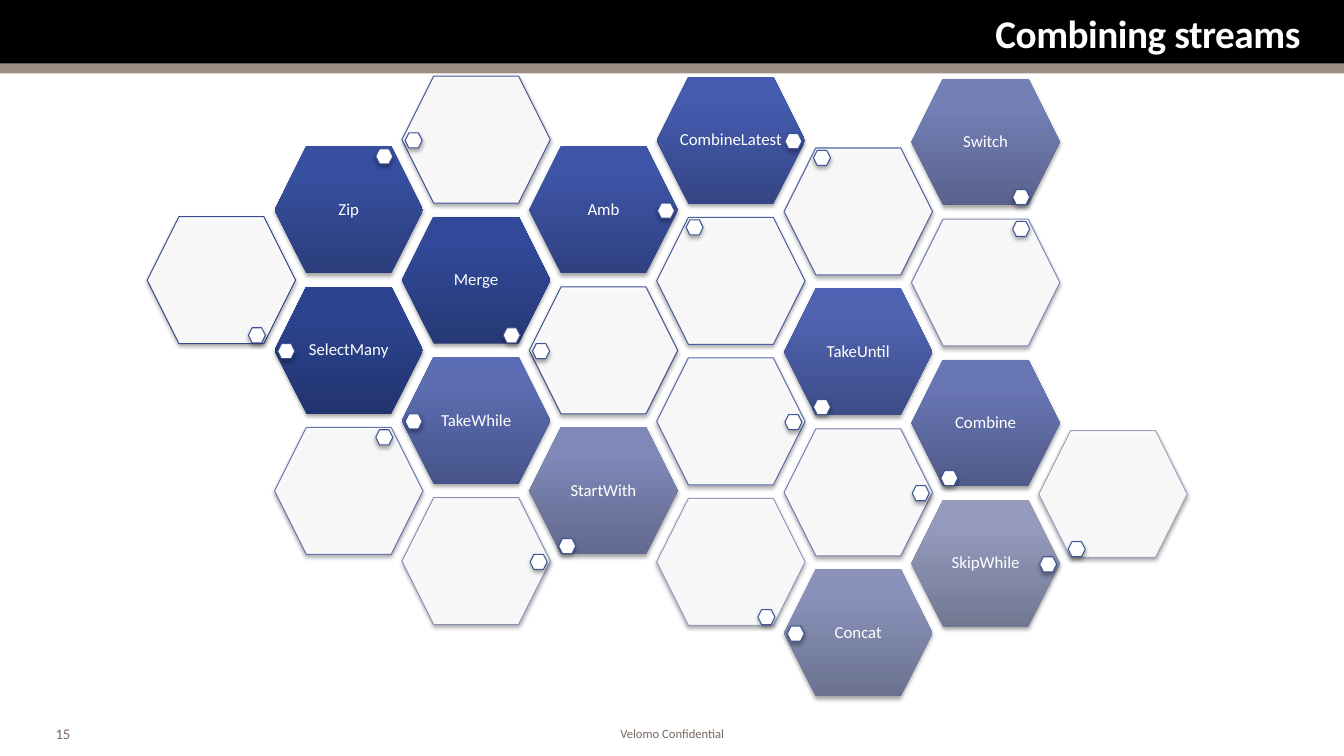
from dataclasses import dataclass

from lxml.etree import SubElement
from pptx import Presentation
from pptx.dml.color import RGBColor
from pptx.enum.shapes import MSO_SHAPE as Preset
from pptx.enum.text import MSO_ANCHOR as Anchor, PP_ALIGN as Align
from pptx.oxml.ns import qn
from pptx.util import Cm, Pt


@dataclass(frozen=True)
class Theme:
    font: str = "Calibri"
    black: str = "000000"
    white: str = "FFFFFF"
    taupe: str = "9E8D83"
    footer: str = "7A695F"
    dot_line: str = "3F5497"
    title_size: float = 28
    label_size: float = 12
    number_size: float = 10.5
    footer_size: float = 9
    line_width: float = 0.75


SLIDE_WIDTH, SLIDE_HEIGHT = 33.87, 19.05
GRID_LEFT, GRID_TOP = 3.71, 1.92
COLUMN_STEP, HALF_ROW_STEP = 3.21, 1.77
COLUMN_DRIFT = 0.02  # the right-hand columns sit slightly lower
HEXAGON_SIZE = (3.74, 3.2)
DOT_SIZE = (0.43, 0.38)
DOT_OFFSETS = {
    "left": (0.08, 1.43),
    "right": (3.23, 1.43),
    "top left": (0.74, 0.06),
    "top right": (2.55, 0.06),
    "bottom left": (0.74, 2.8),
    "bottom right": (2.55, 2.8),
}

# column, half row, operator, dot place, gradient from bottom to top
OPERATORS = [
    (1, 3, "SelectMany", "left", ("22346F", "2C4490", "2A4393")),
    (2, 2, "Merge", "bottom right", ("263875", "314998", "30499B")),
    (1, 1, "Zip", "top right", ("2B3D7B", "374FA0", "364EA3")),
    (3, 1, "Amb", "right", ("304181", "3E55A7", "3C54AA")),
    (4, 0, "CombineLatest", "right", ("354686", "445BAE", "435AB1")),
    (5, 3, "TakeUntil", "bottom left", ("3D4D88", "4F63B1", "4E63B4")),
    (2, 4, "TakeWhile", "left", ("465489", "5C6DB2", "5A6CB5")),
    (6, 4, "Combine", "bottom left", ("505B8A", "6876B4", "6776B6")),
    (6, 0, "Switch", "bottom right", ("59628C", "7380B6", "737FB8")),
    (3, 5, "StartWith", "bottom left", ("62698E", "7F89B8", "7E89BA")),
    (5, 7, "Concat", "left", ("6A7190", "8A92BA", "8992BC")),
    (6, 6, "SkipWhile", "right", ("727892", "949BBD", "949BBF")),
]

# column, half row, dot place, outline
EMPTY_CELLS = [
    (0, 2, "bottom right", "394C89"),
    (3, 3, "left", "3F5291"),
    (2, 0, "left", "465899"),
    (4, 2, "top left", "4C5FA0"),
    (5, 1, "top left", "5365A7"),
    (4, 4, "right", "5D6DAB"),
    (1, 5, "top right", "6977AE"),
    (5, 5, "right", "7480B0"),
    (6, 2, "top right", "7F89B4"),
    (2, 6, "right", "8992B7"),
    (4, 6, "bottom right", "949BBB"),
    (7, 5, "bottom left", "9EA3BF"),
]


class SlideBuilder:
    def __init__(self, slide, theme):
        self.slide = slide
        self.theme = theme

    def set_text(self, shape, text, size, color, align, bold=False):
        frame = shape.text_frame
        frame.text = text
        paragraph = frame.paragraphs[0]
        paragraph.alignment = align
        run = paragraph.runs[0]
        run.font.name = self.theme.font
        run.font.size = Pt(size)
        run.font.bold = bold
        run.font.color.rgb = RGBColor.from_string(color)
        return run

    def band(self, top, height, color):
        shape = self.slide.shapes.add_shape(
            Preset.RECTANGLE, 0, Cm(top), Cm(SLIDE_WIDTH), Cm(height))
        shape.shadow.inherit = False
        shape.fill.solid()
        shape.fill.fore_color.rgb = RGBColor.from_string(color)
        shape.line.fill.background()

    def title(self, text):
        title = self.slide.shapes.title
        title.left, title.top, title.width, title.height = map(Cm, (1.04, 0.18, 31.83, 1.27))
        frame = title.text_frame
        frame.vertical_anchor = Anchor.MIDDLE
        frame.margin_left = frame.margin_right = Cm(0.1)
        frame.margin_top = frame.margin_bottom = Cm(0.1)
        run = self.set_text(title, text, self.theme.title_size, self.theme.white,
                            Align.RIGHT, True)
        run.font._element.set("spc", "-30")
        title._element.getparent().append(title._element)  # in front of the bands

    def footer_text(self, text, box, size, align):
        shape = self.slide.shapes.add_textbox(*map(Cm, box))
        frame = shape.text_frame
        frame.word_wrap = True
        frame.margin_left = frame.margin_right = Cm(0.23)
        frame.margin_top = frame.margin_bottom = Cm(0.1)
        self.set_text(shape, text, size, self.theme.footer, align)

    def cast_shadow(self, shape):
        shape.shadow.inherit = False
        effects = shape._element.spPr.find(qn("a:effectLst"))
        shadow = SubElement(effects, qn("a:outerShdw"), blurRad=str(Pt(3.1)),
                            dist=str(Pt(1.8)), dir="5400000", rotWithShape="0")
        color = SubElement(shadow, qn("a:srgbClr"), val=self.theme.black)
        SubElement(color, qn("a:alpha"), val="35000")

    def hexagon(self, left, top, size):
        shape = self.slide.shapes.add_shape(Preset.HEXAGON, *map(Cm, (left, top, *size)))
        shape.adjustments[0] = 0.25
        self.cast_shadow(shape)
        return shape

    def fill_white(self, shape, line_color):
        shape.fill.solid()
        shape.fill.fore_color.rgb = RGBColor.from_string(self.theme.white)
        shape.line.color.rgb = RGBColor.from_string(line_color)
        shape.line.width = Pt(self.theme.line_width)

    def cell(self, column, half_row, dot_place):
        """Add a hexagon of the honeycomb with its dot and return the hexagon."""
        left = GRID_LEFT + column * COLUMN_STEP
        top = GRID_TOP + half_row * HALF_ROW_STEP + COLUMN_DRIFT * max(0, column - 3)
        shape = self.hexagon(left, top, HEXAGON_SIZE)
        across, down = DOT_OFFSETS[dot_place]
        dot = self.hexagon(left + across, top + down, DOT_SIZE)
        self.fill_white(dot, self.theme.dot_line)
        return shape

    def operator(self, column, half_row, label, dot_place, shades):
        shape = self.cell(column, half_row, dot_place)
        shape.line.fill.background()
        shape.fill.gradient()
        shape.fill.gradient_angle = 90
        stops = shape._element.spPr.find(qn("a:gradFill")).find(qn("a:gsLst"))
        stops.clear()
        for position, shade in zip((0, 80000, 100000), shades):
            stop = SubElement(stops, qn("a:gs"), pos=str(position))
            SubElement(stop, qn("a:srgbClr"), val=shade)
        frame = shape.text_frame
        frame.word_wrap = False
        frame.vertical_anchor = Anchor.MIDDLE
        frame.margin_left = frame.margin_right = 0
        frame.margin_top = frame.margin_bottom = Cm(0.05)
        self.set_text(shape, label, self.theme.label_size, self.theme.white, Align.CENTER)
        frame.paragraphs[0].line_spacing = 0.9

    def empty_cell(self, column, half_row, dot_place, outline):
        shape = self.cell(column, half_row, dot_place)
        self.fill_white(shape, outline)
        color = shape._element.spPr.find(qn("a:solidFill"))[0]
        SubElement(color, qn("a:alpha"), val="90000")


def main():
    presentation = Presentation()
    presentation.slide_width = Cm(SLIDE_WIDTH)
    presentation.slide_height = Cm(SLIDE_HEIGHT)
    theme = Theme()
    builder = SlideBuilder(presentation.slides.add_slide(presentation.slide_layouts[5]), theme)

    builder.band(0, 1.65, theme.black)
    builder.band(17.8, 1.25, theme.white)
    builder.footer_text("15", (1.17, 18.16, 1.27, 0.69), theme.number_size, Align.LEFT)
    builder.footer_text("Velomo Confidential", (10.34, 18.19, 13.2, 0.61),
                        theme.footer_size, Align.CENTER)
    builder.band(1.6, 0.25, theme.taupe)
    builder.title("Combining streams")
    for operator, empty_cell in zip(OPERATORS, EMPTY_CELLS):
        builder.operator(*operator)
        builder.empty_cell(*empty_cell)

    presentation.save("out.pptx")


if __name__ == "__main__":
    main()
